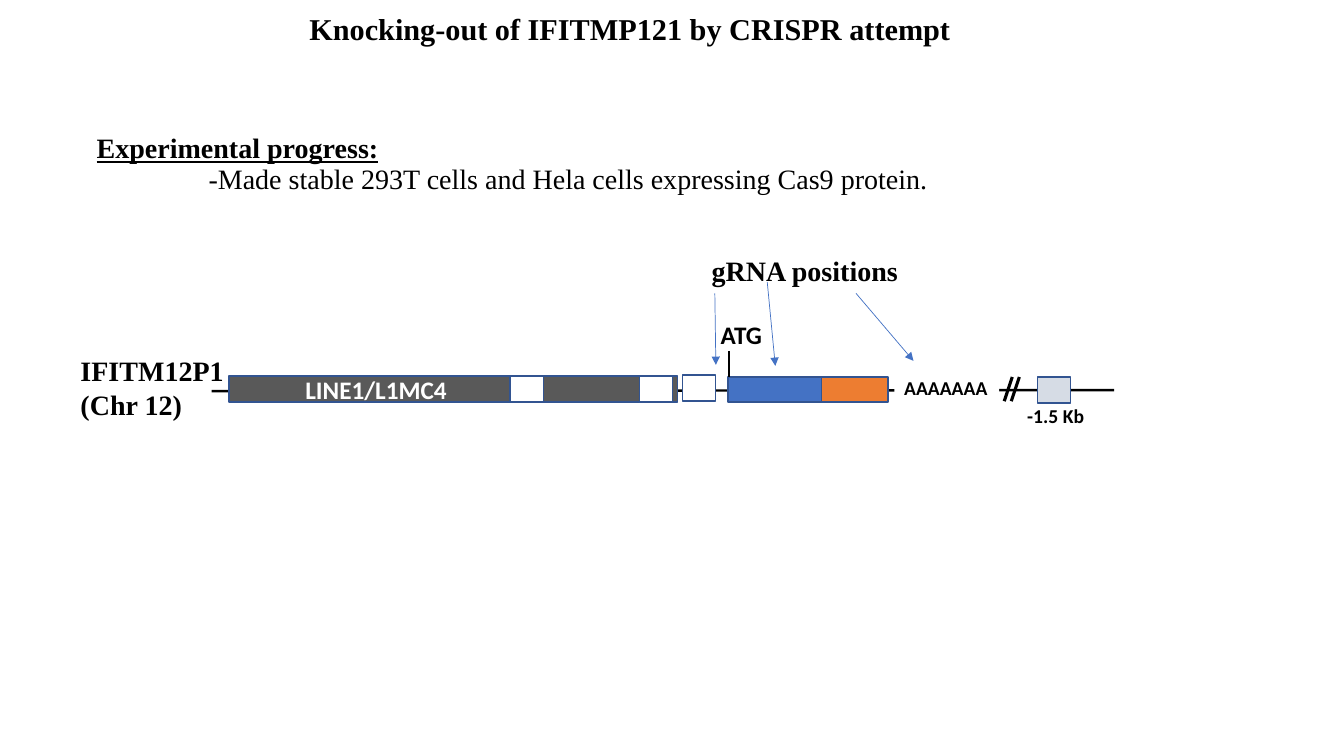
from dataclasses import dataclass

from lxml.etree import SubElement
from pptx import Presentation
from pptx.dml.color import RGBColor
from pptx.enum.shapes import MSO_CONNECTOR, MSO_SHAPE
from pptx.enum.text import MSO_ANCHOR, MSO_AUTO_SIZE
from pptx.oxml.ns import qn
from pptx.slide import Slide
from pptx.util import Inches, Pt


@dataclass(frozen=True)
class Theme:
    """Colours, fonts and type sizes of the slide."""
    black: str = "000000"
    white: str = "FFFFFF"
    outline: str = "325491"
    blue: str = "4472C4"
    orange: str = "ED7D31"
    dark_grey: str = "595959"
    pale_grey: str = "D6DCE5"
    serif: str = "Times New Roman"
    sans: str = "Calibri"
    title_size: float = 21.6
    heading_size: float = 20
    gene_size: float = 18
    note_size: float = 14


THEME = Theme()


@dataclass(frozen=True)
class Line:
    """One paragraph of a label."""
    text: str
    bold: bool = True
    underline: bool = False
    indent: float = 0


@dataclass(frozen=True)
class Label:
    """A block of text with its place and type."""
    left: float
    top: float
    width: float
    height: float
    lines: tuple[Line, ...]
    size: float
    font: str = THEME.serif
    color: str = THEME.black
    fill: str | None = None
    wrap: bool = False
    middle: bool = False
    spacing: float = 1


@dataclass(frozen=True)
class Segment:
    """A stretch of the gene, drawn as a box."""
    left: float
    top: float
    width: float
    fill: str
    height: float = 0.26


@dataclass(frozen=True)
class Stroke:
    """A straight line, with or without an arrowhead."""
    start: tuple[float, float]
    end: tuple[float, float]
    color: str = THEME.black
    weight: float = 1.75
    arrow: bool = False


EXON_WIDTH = 0.33
BREAK_GAP = 0.07

BACKBONE = Stroke((2.1, 3.88), (11.05, 3.87))
START_CODON = Stroke((7.23, 3.48), (7.23, 3.74))
BREAK_MARKS = [
    Stroke((10.04 + i * BREAK_GAP, 3.74), (9.96 + i * BREAK_GAP, 3.98), weight=2.25)
    for i in range(2)
]
GUIDE_ARROWS = [
    Stroke(start, end, THEME.blue, 0.5, True)
    for start, end in (
        ((7.09, 2.91), (7.1, 3.62)),
        ((7.61, 2.8), (7.69, 3.63)),
        ((8.49, 2.91), (9.06, 3.58)),
    )
]
SEGMENTS = [
    Segment(7.22, 3.74, 0.94, THEME.blue, 0.25),
    Segment(8.15, 3.74, 0.66, THEME.orange, 0.25),
    Segment(6.77, 3.72, EXON_WIDTH, THEME.white),
    Segment(2.27, 3.73, 4.45, THEME.dark_grey),
    Segment(6.34, 3.73, EXON_WIDTH, THEME.white),
    Segment(5.06, 3.73, EXON_WIDTH, THEME.white),
    Segment(10.29, 3.74, EXON_WIDTH, THEME.pale_grey),
]
TAIL_LABELS = [
    Label(left, top, 1.04, 0.34, (Line(text),), THEME.note_size, THEME.sans,
          fill=THEME.white, wrap=True)
    for left, top, text in ((10.09, 3.96, "-1.5 Kb"), (8.87, 3.68, "AAAAAAA"))
]
LABELS = [
    Label(2.97, 0, 6.92, 0.61, (Line("Knocking-out of IFITMP121 by CRISPR attempt"),),
          THEME.title_size, wrap=True, middle=True, spacing=0.9),
    Label(0.86, 1.09, 12.02, 1.09,
          (Line("Experimental progress:", underline=True),
           Line("-Made stable 293T cells and Hela cells expressing Cas9 protein.",
                bold=False, indent=1.11)),
          THEME.heading_size, wrap=True, middle=True, spacing=0.9),
    Label(6.96, 2.47, 2.06, 0.44, (Line("gRNA positions"),), THEME.heading_size),
    Label(7.05, 3.12, 0.61, 0.4, (Line("ATG"),), THEME.gene_size, THEME.sans),
    Label(0.7, 3.46, 1.64, 0.77, (Line("IFITM12P1"), Line("(Chr 12)")),
          THEME.heading_size),
    Label(2.93, 3.66, 1.62, 0.4, (Line("LINE1/L1MC4"),), THEME.gene_size,
          THEME.sans, THEME.white),
]


def draw_label(slide: Slide, label: Label) -> None:
    """Add a text box holding the lines of a label."""
    box = slide.shapes.add_textbox(Inches(label.left), Inches(label.top),
                                   Inches(label.width), Inches(label.height))
    if label.fill:
        box.fill.solid()
        box.fill.fore_color.rgb = RGBColor.from_string(label.fill)
    frame = box.text_frame
    frame.word_wrap = label.wrap
    frame.auto_size = MSO_AUTO_SIZE.NONE
    frame.vertical_anchor = MSO_ANCHOR.MIDDLE if label.middle else MSO_ANCHOR.TOP
    for index, line in enumerate(label.lines):
        paragraph = frame.add_paragraph() if index else frame.paragraphs[0]
        paragraph.text = line.text
        paragraph.line_spacing = label.spacing
        if line.indent:
            paragraph._p.get_or_add_pPr().set("marL", str(Inches(line.indent)))
        font = paragraph.font
        font.name = label.font
        font.size = Pt(label.size)
        font.bold = line.bold
        font.underline = line.underline
        font.color.rgb = RGBColor.from_string(label.color)


def draw_segment(slide: Slide, segment: Segment) -> None:
    """Add an outlined box for a stretch of the gene."""
    box = slide.shapes.add_shape(MSO_SHAPE.RECTANGLE, Inches(segment.left),
                                 Inches(segment.top), Inches(segment.width),
                                 Inches(segment.height))
    box.shadow.inherit = False
    box.fill.solid()
    box.fill.fore_color.rgb = RGBColor.from_string(segment.fill)
    box.line.color.rgb = RGBColor.from_string(THEME.outline)
    box.line.width = Pt(1)


def draw_stroke(slide: Slide, stroke: Stroke) -> None:
    """Add a straight connector without a shadow."""
    connector = slide.shapes.add_connector(
        MSO_CONNECTOR.STRAIGHT, *map(Inches, stroke.start + stroke.end))
    connector.line.color.rgb = RGBColor.from_string(stroke.color)
    connector.line.width = Pt(stroke.weight)
    if stroke.arrow:
        SubElement(connector.line._get_or_add_ln(), qn("a:tailEnd"), type="triangle")
    SubElement(connector._element.spPr, qn("a:effectLst"))


def main() -> None:
    """Build the slide and save it."""
    deck = Presentation()
    deck.slide_width, deck.slide_height = Inches(13.33), Inches(7.5)
    slide = deck.slides.add_slide(deck.slide_layouts[6])
    draw_stroke(slide, BACKBONE)
    for label in TAIL_LABELS:
        draw_label(slide, label)
    for segment in SEGMENTS:
        draw_segment(slide, segment)
    for stroke in (START_CODON, *BREAK_MARKS, *GUIDE_ARROWS):
        draw_stroke(slide, stroke)
    for label in LABELS:
        draw_label(slide, label)
    deck.save("out.pptx")


if __name__ == "__main__":
    main()
